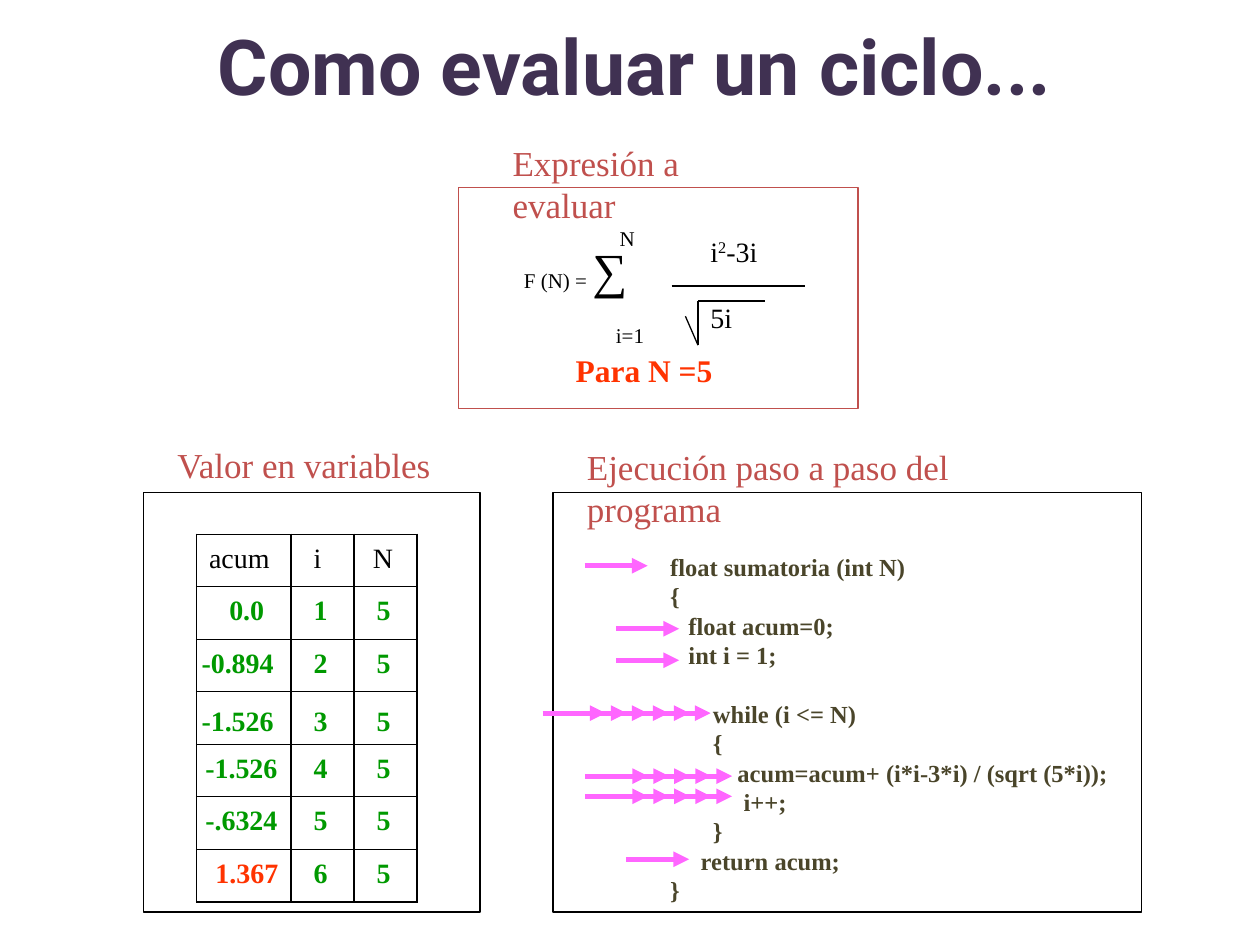
from lxml.etree import SubElement
from pptx import Presentation
from pptx.dml.color import RGBColor
from pptx.enum.shapes import MSO_CONNECTOR as CONN, MSO_SHAPE as SHAPE
from pptx.enum.text import MSO_ANCHOR as ANCHOR, PP_ALIGN as ALIGN
from pptx.oxml import parse_xml
from pptx.oxml.ns import nsdecls, qn
from pptx.util import Inches, Pt

SERIF = "Times New Roman"
BLACK, RED, ORANGE = "000000", "C0504D", "FF3300"
GREEN, PINK, OLIVE, PURPLE = "009900", "FF66FF", "4A452A", "403152"

TRACE = [
    ("acum", "i", "N", 0.1),
    ("0.0", "1", "5", 0.26),
    ("-0.894", "2", "5", 0.04),
    ("-1.526", "3", "5", 0.04),
    ("-1.526", "4", "5", 0.07),
    ("-.6324", "5", "5", 0.07),
    ("1.367", "6", "5", 0.15),
]
CODE = [
    (0, "float sumatoria (int N)"),
    (0, "{"),
    (3, "float acum=0;"),
    (3, "int i = 1;"),
    (7, "while (i <= N)"),
    (7, "{"),
    (11, "acum=acum+ (i*i-3*i) / (sqrt (5*i));"),
    (12, "i++;"),
    (7, "}"),
    (5, "return acum;"),
    (0, "}"),
]
ARROWS = [(0.25, 0.58, 1), (0.5, 1.08, 1), (0.5, 1.33, 1), (0.75, 1.75, 6),
          (0.92, 2.25, 5), (0.92, 2.41, 5), (0.58, 2.91, 1)]


def rgb(color):
    """Turn a hex string into a colour."""
    return RGBColor.from_string(color)


def style(r, size, color, bold=False, font=SERIF):
    """Format one run."""
    r.font.name, r.font.size, r.font.bold = font, Pt(size), bold
    r.font.color.rgb = rgb(color)


def add_text(s, x, y, w, h, lines, size, color=BLACK, bold=False, wrap=False, font=SERIF):
    """Add a text box with one paragraph per line and return its frame."""
    tf = s.shapes.add_textbox(Inches(x), Inches(y), Inches(w), Inches(h)).text_frame
    tf.word_wrap = wrap
    tf.text = lines
    for p in tf.paragraphs:
        for r in p.runs:
            style(r, size, color, bold, font)
    return tf


def add_frame(s, x, y, w, h, color=BLACK):
    """Add an unfilled outlined rectangle."""
    sp = s.shapes.add_shape(SHAPE.RECTANGLE, Inches(x), Inches(y), Inches(w), Inches(h))
    sp.shadow.inherit = False
    sp.fill.background()
    sp.line.color.rgb = rgb(color)
    sp.line.width = Pt(0.75)


def add_line(s, x1, y1, x2, y2, color=BLACK, width=0.75, arrow=False):
    """Add a straight line, with an arrowhead at its end if asked."""
    c = s.shapes.add_connector(CONN.STRAIGHT, Inches(x1), Inches(y1), Inches(x2), Inches(y2))
    c.line.color.rgb = rgb(color)
    c.line.width = Pt(width)
    if arrow:
        SubElement(c.line._get_or_add_ln(), qn("a:tailEnd"), type="triangle")
    SubElement(c._element.spPr, qn("a:effectLst"))


def add_title(s, x, y, w, h):
    """Add the centred slide title."""
    tf = add_text(s, x, y, w, h, "Como evaluar un ciclo...", 44, PURPLE, True, True, "Roboto")
    tf.vertical_anchor = ANCHOR.MIDDLE
    tf.paragraphs[0].alignment = ALIGN.CENTER


def add_formula(s, x, y, w, h):
    """Add the framed sum to be evaluated, with its heading."""
    add_frame(s, x, y, w, h, RED)
    add_text(s, x + 0.33, y - 0.42, 2.3, 0.43, "Expresión a evaluar", 20, RED, wrap=True)
    p = add_text(s, x + 0.42, y + 0.36, 1.02, 0.57, "F (N) = ", 12).paragraphs[0]
    r = p.add_run()
    r.text = "∑"
    style(r, 28, BLACK)
    add_text(s, x + 1.18, y + 0.25, 0.32, 0.3, "N", 12)
    add_text(s, x + 1.15, y + 1.02, 0.5, 0.3, "i=1", 12)
    p = add_text(s, x + 1.9, y + 0.32, 0.59, 0.37, "i", 16).paragraphs[0]
    for text, base in (("2", "30000"), ("-3i", "0")):
        r = p.add_run()
        r.text = text
        style(r, 16, BLACK)
        r.font._element.set("baseline", base)
    add_line(s, x + 1.69, y + 0.78, x + 2.75, y + 0.78)
    add_text(s, x + 1.9, y + 0.85, 0.4, 0.37, "5i", 16)
    root = [(1.8, 1.02), (1.9, 1.25), (1.9, 0.9), (2.43, 0.9)]
    for (x1, y1), (x2, y2) in zip(root, root[1:]):
        add_line(s, x + x1, y + y1, x + x2, y + y2)
    add_text(s, x + 0.83, y + 1.25, 1.35, 0.4, "Para N =5", 18, ORANGE, True)


def set_borders(cell):
    """Give a cell thin black borders on all four sides."""
    tc_pr = cell._tc.get_or_add_tcPr()
    for i, side in enumerate("LRTB"):
        tc_pr.insert(i, parse_xml(
            f'<a:ln{side} {nsdecls("a")} w="9525"><a:solidFill>'
            f'<a:srgbClr val="{BLACK}"/></a:solidFill></a:ln{side}>'))


def add_variables(s, x, y, w, h):
    """Add the framed table of variable values, with its heading."""
    add_frame(s, x, y, w, h)
    add_text(s, x + 0.17, y - 0.44, 2.3, 0.43, "Valor en variables", 20, RED)
    table = s.shapes.add_table(len(TRACE), 3, Inches(x + 0.42), Inches(y + 0.33),
                               Inches(1.75), Inches(2.92)).table
    table.first_row = table.horz_banding = False
    for col, width in zip(table.columns, (0.75, 0.5, 0.5)):
        col.width = Inches(width)
    for i, (*values, inset) in enumerate(TRACE):
        insets = (inset, 0.18, 0.18 if i else 0.15)
        for j, value in enumerate(values):
            cell = table.cell(i, j)
            cell.text = value
            cell.margin_left, cell.margin_right = Inches(insets[j]), 0
            cell.margin_top, cell.margin_bottom = Inches(0.12 if i == 3 else 0.07), 0
            cell.fill.background()
            set_borders(cell)
            last = i == len(TRACE) - 1 and j == 0
            color = ORANGE if last else GREEN if i else BLACK
            style(cell.text_frame.paragraphs[0].runs[0], 16, color, i > 0)


def add_program(s, x, y, w, h):
    """Add the framed code with an arrow for every executed step."""
    add_frame(s, x, y, w, h)
    add_text(s, x + 0.17, y - 0.42, 4, 0.43, "Ejecución paso a paso del programa", 20, RED, wrap=True)
    code = "\n".join(text for _, text in CODE)
    tf = add_text(s, x + 0.83, y + 0.42, 3.75, 2.93, code, 14, OLIVE, True, True)
    for p, (indent, text) in zip(tf.paragraphs, CODE):
        p.line_spacing = Pt(16.8)
        p._p.get_or_add_pPr().set("marL", str(Pt(3.5 * indent)))
        if text.startswith("while"):
            p.space_before = Pt(16.8)
    for dx, dy, count in ARROWS:
        for k in range(count):
            x1 = x + dx - k / 6
            add_line(s, x1, y + dy, x1 + 0.5, y + dy, PINK, 3, True)


def main():
    """Build the slide and save it."""
    prs = Presentation()
    prs.slide_width, prs.slide_height = Inches(10), Inches(7.5)
    s = prs.slides.add_slide(prs.slide_layouts[6])
    add_formula(s, 3.64, 1.49, 3.17, 1.75)
    add_variables(s, 1.14, 3.91, 2.67, 3.33)
    add_program(s, 4.39, 3.91, 4.67, 3.33)
    add_title(s, 1.14, -0.11, 7.8, 1.25)
    prs.save("out.pptx")


if __name__ == "__main__":
    main()
